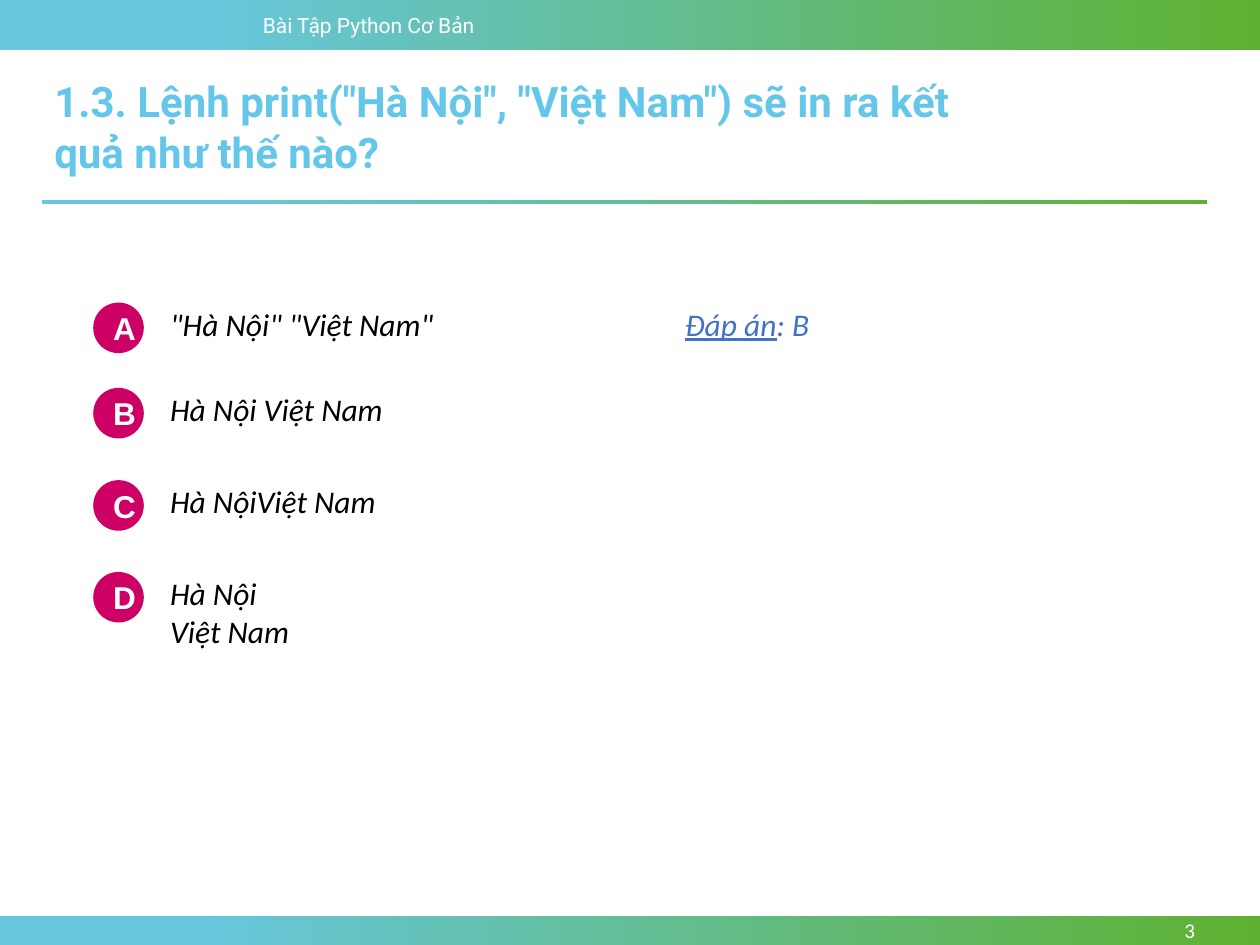
from pptx import Presentation
from pptx.dml.color import RGBColor
from pptx.enum.shapes import MSO_SHAPE as Shape
from pptx.enum.text import MSO_ANCHOR as Anchor, MSO_AUTO_SIZE as AutoSize, PP_ALIGN as Align
from pptx.util import Cm, Pt

COURSE = "Bài Tập Python Cơ Bản"
QUESTION = '1.3. Lệnh print("Hà Nội", "Việt Nam") sẽ in ra kết quả như thế nào?'
CHOICES = [
    ("A", '"Hà Nội" "Việt Nam"', 6.1, 1.02),
    ("B", "Hà Nội Việt Nam", 7.82, 1.02),
    ("C", "Hà NộiViệt Nam", 9.68, 1.02),
    ("D", "Hà Nội\vViệt Nam", 11.53, 2.57),
]
ANSWER = ("Đáp án", ": B")
PAGE = "3"
BANDS = [(0, 0, 25.4, 1.02), (0, 18.47, 25.4, 0.58), (0.84, 4.04, 23.5, 0.08)]
GRADIENT = [(0.15, "67C7DF"), (1, "5EB130")]
WHITE, BLACK, SKY, PINK, BLUE = "FFFFFF", "000000", "64C7E9", "CD0065", "4472C4"
BADGE = 1.02


def color(value):
    return RGBColor.from_string(value)


def style(paragraph, font_name, size, ink, bold=False, italic=False, align=Align.LEFT):
    paragraph.alignment = align
    font = paragraph.font
    font.name, font.size = font_name, Pt(size)
    font.bold, font.italic = bold, italic
    font.color.rgb = color(ink)


def add_shape(slide, kind, box):
    shape = slide.shapes.add_shape(kind, *map(Cm, box))
    shape.shadow.inherit = False
    shape.line.fill.background()
    return shape


def add_band(slide, box):
    fill = add_shape(slide, Shape.RECTANGLE, box).fill
    fill.gradient()
    fill.gradient_angle = 0
    for stop, (position, value) in zip(fill.gradient_stops, GRADIENT):
        stop.position = position
        stop.color.rgb = color(value)


def add_text(slide, box, text, *look, anchor=Anchor.TOP, wrap=True, **options):
    frame = slide.shapes.add_textbox(*map(Cm, box)).text_frame
    frame.word_wrap = wrap
    frame.vertical_anchor = anchor
    frame.text = text
    style(frame.paragraphs[0], *look, **options)
    return frame.paragraphs[0]


def add_title(slide):
    title = slide.shapes.title
    title.left, title.top, title.width, title.height = map(Cm, (0.84, 1.4, 20.14, 2.31))
    frame = title.text_frame
    frame.text = QUESTION
    frame.word_wrap = True
    frame.auto_size = AutoSize.NONE
    frame.vertical_anchor = Anchor.TOP
    style(frame.paragraphs[0], "Roboto", 24, SKY, bold=True)


def add_choice(slide, letter, text, top, height):
    badge = add_shape(slide, Shape.OVAL, (1.88, top, BADGE, BADGE))
    badge.fill.solid()
    badge.fill.fore_color.rgb = color(PINK)
    badge.text_frame.text = letter
    badge.text_frame.vertical_anchor = Anchor.MIDDLE
    style(badge.text_frame.paragraphs[0], "Arial", 18, WHITE, bold=True, align=Align.CENTER)
    add_text(slide, (3.18, top - 0.08, 7.01, height), text, "Calibri", 18, BLACK, italic=True)


def main():
    deck = Presentation()
    deck.slide_width, deck.slide_height = Cm(25.4), Cm(19.05)
    slide = deck.slides.add_slide(deck.slide_layouts[5])
    for band in BANDS:
        add_band(slide, band)
    add_text(slide, (5.05, 0.13, 5.72, 0.76), COURSE, "Roboto", 12, WHITE)
    add_text(slide, (22, 18.47, 2.34, 0.58), PAGE, "Calibri", 12, WHITE,
             anchor=Anchor.MIDDLE, align=Align.RIGHT)
    add_title(slide)
    for choice in CHOICES:
        add_choice(slide, *choice)
    label, letter = ANSWER
    answer = add_text(slide, (13.56, 6.02, 3.05, 1.02), label, "Calibri", 18, BLUE,
                      wrap=False, italic=True)
    answer.runs[0].font.underline = True
    answer.add_run().text = letter
    deck.save("out.pptx")


if __name__ == "__main__":
    main()
